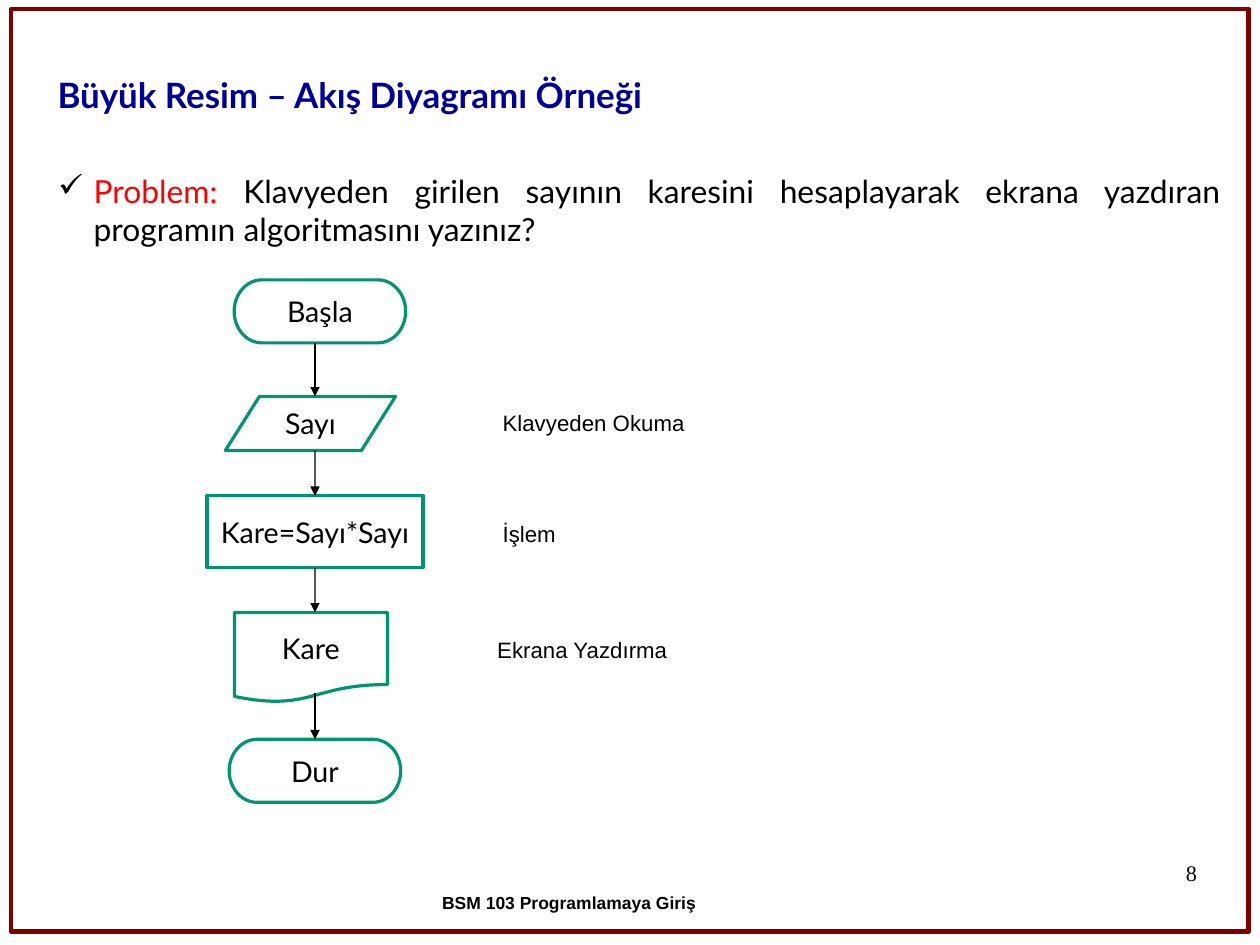
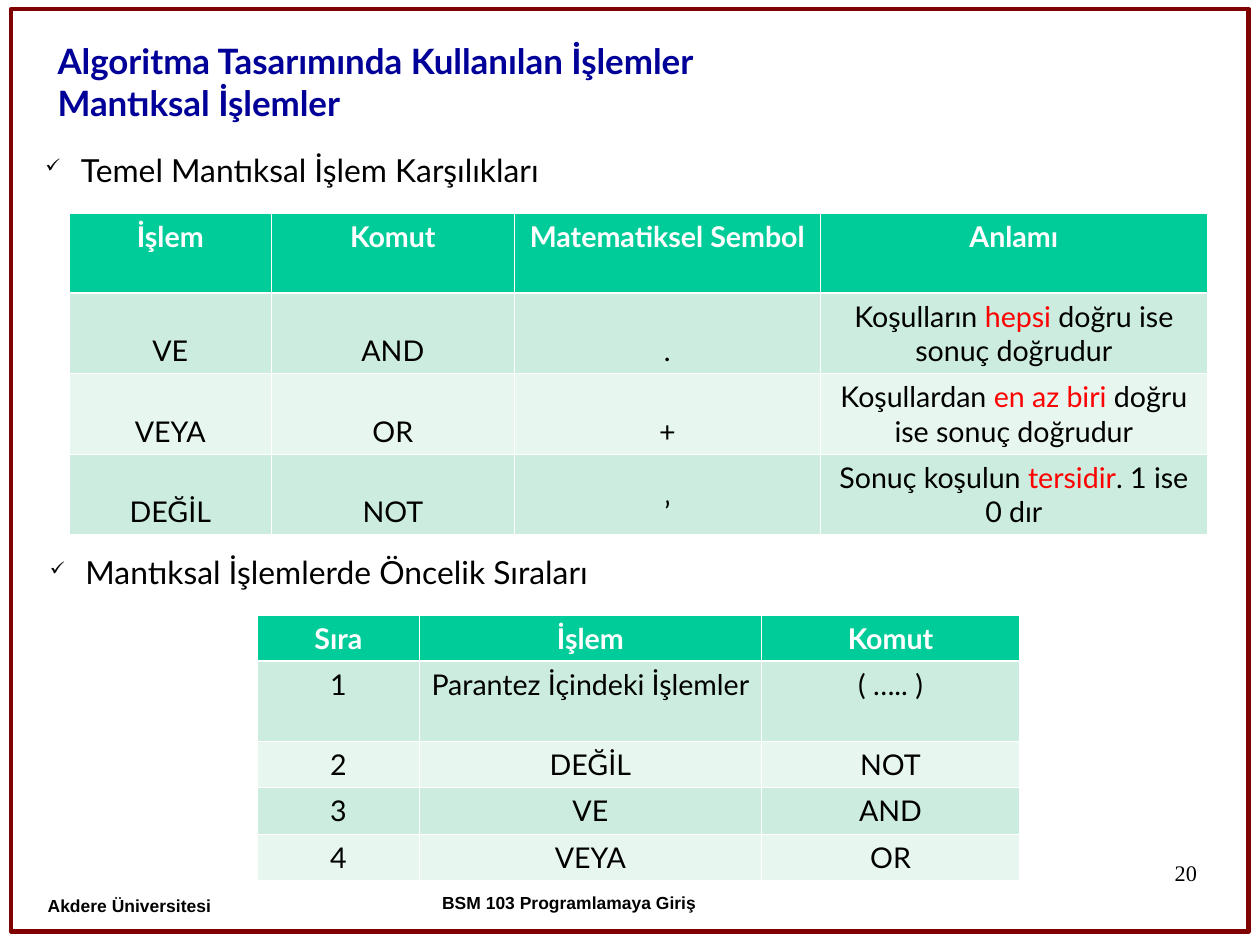
from itertools import pairwise

from lxml.etree import SubElement
from pptx import Presentation
from pptx.dml.color import RGBColor
from pptx.enum.shapes import MSO_CONNECTOR as Connector, MSO_SHAPE as Shape
from pptx.enum.text import MSO_ANCHOR as Anchor, PP_ALIGN as Align
from pptx.oxml.ns import qn
from pptx.util import Cm, Pt

BLACK, WHITE, RED = "000000", "FFFFFF", "FF0000"
NAVY, MAROON, GREEN = "000099", "800000", "00956F"
HEADER_FILL, BAND_FILLS = "00CC99", ("CBECDE", "E7F6EF")
COURSE = "BSM 103 Programlamaya Giriş"
SCHOOL = "Akdere Üniversitesi"

FLOW_TITLE = ["Büyük Resim – Akış Diyagramı Örneği"]
PROBLEM = ("", "Problem: ", "Klavyeden girilen sayının karesini hesaplayarak "
           "ekrana yazdıran programın algoritmasını yazınız?")
FLOW_X = 7.0
STEPS = [
    ("Başla", Shape.FLOWCHART_TERMINATOR, 7.11, 6.22, 3.81, 1.4),
    ("Sayı", Shape.FLOWCHART_DATA, 6.9, 8.81, 3.78, 1.2),
    ("Kare=Sayı*Sayı", Shape.FLOWCHART_PROCESS, FLOW_X, 11.02, 4.8, 1.6),
    ("Kare", Shape.FLOWCHART_DOCUMENT, 6.91, 13.61, 3.4, 2.0),
    ("Dur", Shape.FLOWCHART_TERMINATOR, FLOW_X, 16.43, 3.81, 1.4),
]
DOCUMENT_EXIT = 0.9
STEP_LABELS = [
    ("Klavyeden Okuma", 10.92, 8.97),
    ("İşlem", 10.92, 11.43),
    ("Ekrana Yazdırma", 10.8, 14.02),
]

LOGIC_TITLE = ["Algoritma Tasarımında Kullanılan İşlemler", "Mantıksal İşlemler"]
LOGIC_HEADINGS = [
    ("Temel Mantıksal İşlem Karşılıkları", 0.76, 3.18),
    ("Mantıksal İşlemlerde Öncelik Sıraları", 0.86, 12.12),
]
OPERATIONS = [
    ("İşlem", "Komut", "Matematiksel Sembol", "Anlamı"),
    ("VE", "AND", ".", ("Koşulların ", "hepsi", " doğru ise sonuç doğrudur")),
    ("VEYA", "OR", "+", ("Koşullardan ", "en az biri", " doğru ise sonuç doğrudur")),
    ("DEĞİL", "NOT", "’", ("Sonuç koşulun ", "tersidir", ". 1 ise 0 dır")),
]
PRIORITIES = [
    ("Sıra", "İşlem", "Komut"),
    ("1", "Parantez İçindeki İşlemler", "( ….. )"),
    ("2", "DEĞİL", "NOT"),
    ("3", "VE", "AND"),
    ("4", "VEYA", "OR"),
]


def rgb(value):
    return RGBColor.from_string(value)


def write(para, text, size, color=BLACK, font="Lato", bold=False, align=Align.LEFT):
    para.alignment = align
    para.font.name, para.font.size, para.font.bold = font, Pt(size), bold
    parts = (text,) if isinstance(text, str) else text
    if len(parts) == 1:
        para.font.color.rgb = rgb(color)
    for index, part in enumerate(parts):
        if part:
            span = para.add_run()
            span.text = part
            if len(parts) > 1:
                span.font.color.rgb = rgb(RED if index % 2 else color)


def set_margins(target, side, top):
    target.margin_left = target.margin_right = Cm(side)
    target.margin_top = target.margin_bottom = Cm(top)


def add_text(page, place, lines, size, margins=(0.25, 0.13), anchor=Anchor.TOP,
             spacing=None, **style):
    box = page.shapes.add_textbox(*map(Cm, place))
    frame = box.text_frame
    frame.word_wrap = True
    frame.vertical_anchor = anchor
    set_margins(frame, *margins)
    for index, line in enumerate(lines):
        para = frame.add_paragraph() if index else frame.paragraphs[0]
        write(para, line, size, **style)
        if spacing:
            para.line_spacing = spacing
    return frame


def add_bullet(page, place, text, percent=100, spacing=None):
    frame = add_text(page, place, [text], 20, spacing=spacing, align=Align.JUSTIFY)
    props = frame.paragraphs[0]._p.get_or_add_pPr()
    props.set("marL", str(Cm(0.79)))
    props.set("indent", str(-Cm(0.79)))
    color = props.makeelement(qn("a:buClr"), {})
    SubElement(color, qn("a:srgbClr"), val=BLACK)
    size = props.makeelement(qn("a:buSzPct"), {"val": str(percent * 1000)})
    mark = props.makeelement(qn("a:buChar"), {"char": "✓"})
    before = props.find(qn("a:defRPr"))
    for item in (color, size, mark):
        before.addprevious(item)


def add_page(deck, title, title_bottom, number):
    page = deck.slides.add_slide(deck.slide_layouts[6])
    border = page.shapes.add_shape(Shape.ROUNDED_RECTANGLE, *map(Cm, (0.25, 0.2, 27.5, 20.5)))
    border.adjustments[0] = 0
    border.shadow.inherit = False
    border.fill.background()
    border.line.color.rgb = rgb(MAROON)
    border.line.width = Pt(2.83)
    add_text(page, (20.07, 19.13, 6.53, 1.45), [number], 14, (0, 0), spacing=0.95,
             font="Times New Roman", align=Align.RIGHT)
    add_text(page, (1, title_bottom - 2.2, 23.6, 2.2), title, 22, (0.28, 0.15),
             Anchor.BOTTOM, color=NAVY, bold=True)
    add_text(page, (7.9, 19.71, 9.5, 1.3), [COURSE], 11, (0.56, 0.45), spacing=0.83,
             font="Arial", bold=True, align=Align.CENTER)
    return page


def add_step(page, text, kind, center, top, width, height):
    step = page.shapes.add_shape(kind, Cm(center - width / 2), Cm(top), Cm(width), Cm(height))
    step.shadow.inherit = False
    step.fill.solid()
    step.fill.fore_color.rgb = rgb(WHITE)
    step.line.color.rgb = rgb(GREEN)
    step.line.width = Pt(2)
    frame = step.text_frame
    frame.word_wrap = False
    frame.vertical_anchor = Anchor.MIDDLE
    set_margins(frame, 0.25, 0.13)
    write(frame.paragraphs[0], text, 18, align=Align.CENTER)
    return step


def add_arrow(page, source, target, source_data, target_data):
    _, kind, source_x, top, _, height = source_data
    start = top + height * (DOCUMENT_EXIT if kind == Shape.FLOWCHART_DOCUMENT else 1)
    arrow = page.shapes.add_connector(
        Connector.STRAIGHT, Cm(FLOW_X), Cm(start), Cm(FLOW_X), Cm(target_data[3]))
    if source_x == FLOW_X:
        arrow.begin_connect(source, 2)
    if target_data[2] == FLOW_X:
        arrow.end_connect(target, 0)
    arrow.line.color.rgb = rgb(BLACK)
    arrow.line.width = Pt(0.75)
    SubElement(arrow.line._get_or_add_ln(), qn("a:tailEnd"), type="triangle")
    SubElement(arrow._element.spPr, qn("a:effectLst"))


def set_borders(cell, row):
    props = cell._tc.get_or_add_tcPr()
    heavy = {0: "lnB", 1: "lnT"}.get(row)
    for index, side in enumerate(("lnL", "lnR", "lnT", "lnB")):
        width = Pt(1.47 if side == heavy else 0.45)
        line = props.makeelement(qn("a:" + side), {"w": str(width)})
        fill = SubElement(line, qn("a:solidFill"))
        SubElement(fill, qn("a:srgbClr"), val=WHITE)
        props.insert(index, line)


def add_grid(page, left, top, widths, heights, rows, low_columns=0):
    place = map(Cm, (left, top, sum(widths), sum(heights)))
    table = page.shapes.add_table(len(rows), len(widths), *place).table
    for column, width in zip(table.columns, widths):
        column.width = Cm(width)
    for r, (row, height) in enumerate(zip(rows, heights)):
        table.rows[r].height = Cm(height)
        for c, text in enumerate(row):
            cell = table.cell(r, c)
            cell.fill.solid()
            cell.fill.fore_color.rgb = rgb(BAND_FILLS[(r - 1) % 2] if r else HEADER_FILL)
            set_margins(cell, 0.25, 0.13)
            cell.vertical_anchor = Anchor.BOTTOM if r and c < low_columns else Anchor.TOP
            write(cell.text_frame.paragraphs[0], text, 18, BLACK if r else WHITE,
                  bold=r == 0, align=Align.CENTER)
            set_borders(cell, r)


def build_flow(deck):
    page = add_page(deck, FLOW_TITLE, 2.72, "8")
    add_bullet(page, (1.04, 3.68, 26.34, 1.96), PROBLEM)
    steps = [add_step(page, *data) for data in STEPS]
    for (source, source_data), (target, target_data) in pairwise(zip(steps, STEPS)):
        add_arrow(page, source, target, source_data, target_data)
    for text, left, top in STEP_LABELS:
        add_text(page, (left, top, 5.4, 0.87), [text], 14, font="Arial")


def build_logic(deck):
    page = add_page(deck, LOGIC_TITLE, 2.9, "20")
    add_text(page, (0.5, 19.71, 6, 1.37), [SCHOOL], 11, (0.56, 0.45), spacing=0.93,
             font="Arial", bold=True)
    for text, left, top in LOGIC_HEADINGS:
        add_bullet(page, (left, top, 25, 1.14), text, 60, 1.04)
    add_grid(page, 1.54, 4.74, (4.49, 5.4, 6.8, 8.6), [1.78] * 4, OPERATIONS, low_columns=3)
    add_grid(page, 5.72, 13.67, (3.6, 7.6, 5.74), (1.02, 1.78, 1.03, 1.03, 1.03), PRIORITIES)


def main():
    deck = Presentation()
    deck.slide_width, deck.slide_height = Cm(28), Cm(21)
    build_flow(deck)
    build_logic(deck)
    deck.save("out.pptx")


if __name__ == "__main__":
    main()
